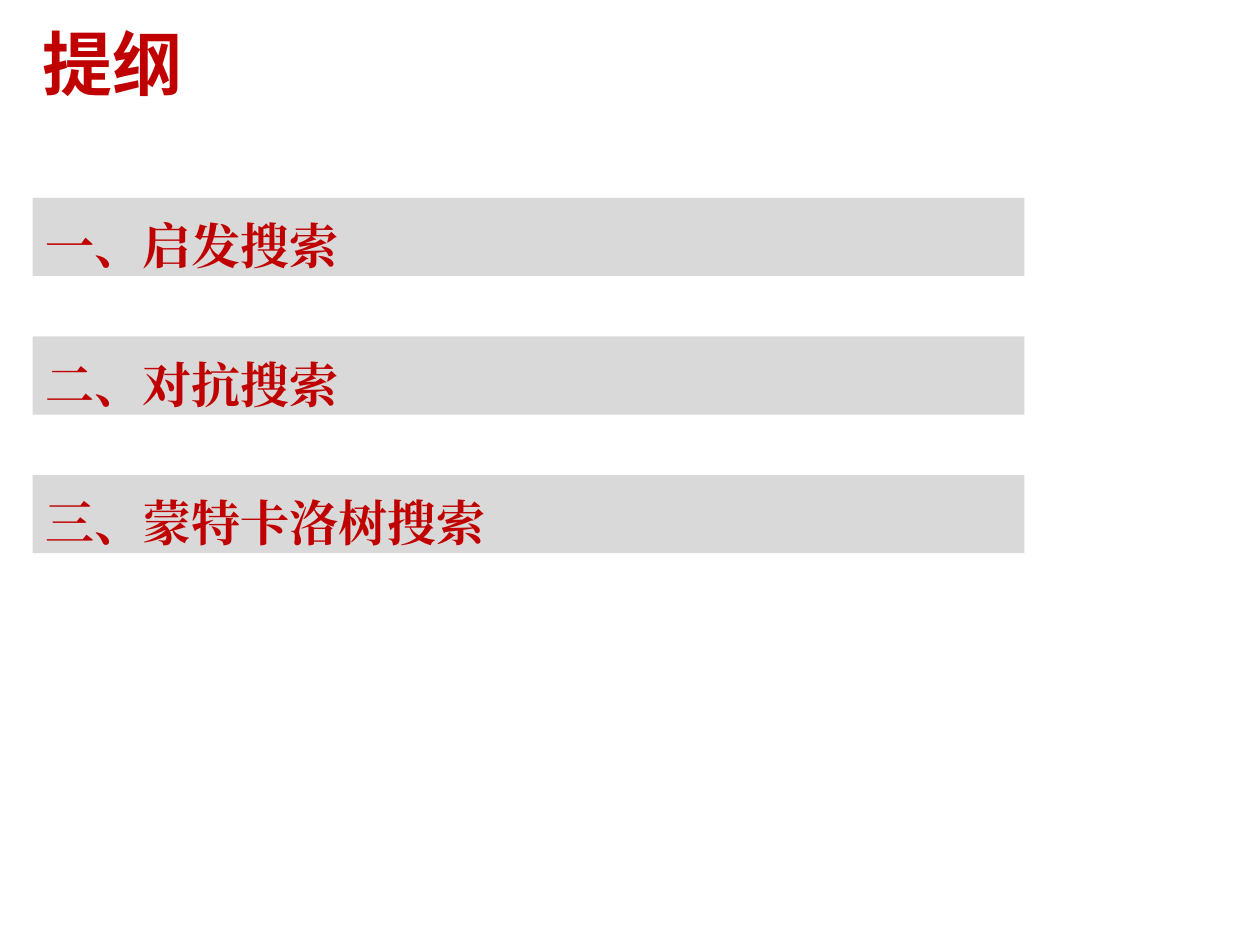
from dataclasses import dataclass
from typing import Any

from lxml import etree
from pptx import Presentation
from pptx.dml.color import RGBColor
from pptx.enum.shapes import MSO_SHAPE
from pptx.enum.text import MSO_ANCHOR, MSO_AUTO_SIZE, PP_ALIGN
from pptx.oxml.ns import qn
from pptx.util import Inches, Pt

RECTANGLE = MSO_SHAPE.RECTANGLE
TOP, MIDDLE = MSO_ANCHOR.TOP, MSO_ANCHOR.MIDDLE
NO_FIT, GROW = MSO_AUTO_SIZE.NONE, MSO_AUTO_SIZE.SHAPE_TO_FIT_TEXT
LEFT = PP_ALIGN.LEFT
COLORS = {"text": "C00000", "bar": "D9D9D9"}
TITLE_FONT, BAR_FONT = "Noto Sans CJK JP", "Times New Roman"
WIDTH, HEIGHT = 10, 7.5
BAR_LEFT, BAR_TOP, BAR_PITCH = 0.26, 1.57, 1.1
BAR_WIDTH, BAR_HEIGHT = 7.87, 0.62
TOPICS = ["一、启发搜索", "二、对抗搜索", "三、蒙特卡洛树搜索"]


@dataclass
class OutlineSlide:
    """Hold the outline style and the slide being built."""

    page: Any
    colors: dict

    def color(self, name):
        """Return a named palette color."""
        return RGBColor.from_string(self.colors[name])

    def add_line(self, frame, text, font, size):
        """Add one bold, left-aligned line and return its paragraph."""
        frame.word_wrap = True
        para = frame.paragraphs[0]
        para.alignment = LEFT
        span = para.add_run()
        span.text = text
        span.font.name = font
        span.font.size = Pt(size)
        span.font.bold = True
        span.font.color.rgb = self.color("text")
        etree.SubElement(span._r.get_or_add_rPr(), qn("a:ea"), typeface=font)
        return para

    def title(self, text):
        """Place and format the title placeholder."""
        box = self.page.shapes.title
        box.left, box.top = Inches(0), Inches(0)
        box.width, box.height = Inches(7.42), Inches(0.99)
        frame = box.text_frame
        frame.auto_size = NO_FIT
        frame.vertical_anchor = MIDDLE
        frame.margin_left = Inches(0.34)
        self.add_line(frame, text, TITLE_FONT, 40)

    def bar(self, row, text):
        """Add a topic bar on the given row."""
        box = self.page.shapes.add_shape(
            RECTANGLE, Inches(BAR_LEFT), Inches(BAR_TOP + row * BAR_PITCH),
            Inches(BAR_WIDTH), Inches(BAR_HEIGHT))
        box.shadow.inherit = False
        box.fill.solid()
        box.fill.fore_color.rgb = self.color("bar")
        box.line.fill.background()
        frame = box.text_frame
        frame.auto_size = GROW
        frame.vertical_anchor = TOP
        self.add_line(frame, text, BAR_FONT, 28).line_spacing = 1.2


def main():
    """Build and save the outline slide."""
    deck = Presentation()
    deck.slide_width, deck.slide_height = Inches(WIDTH), Inches(HEIGHT)
    outline = OutlineSlide(deck.slides.add_slide(deck.slide_layouts[5]), COLORS)
    outline.title("提纲")
    for row, topic in enumerate(TOPICS):
        outline.bar(row, topic)
    deck.save("out.pptx")


if __name__ == "__main__":
    main()
